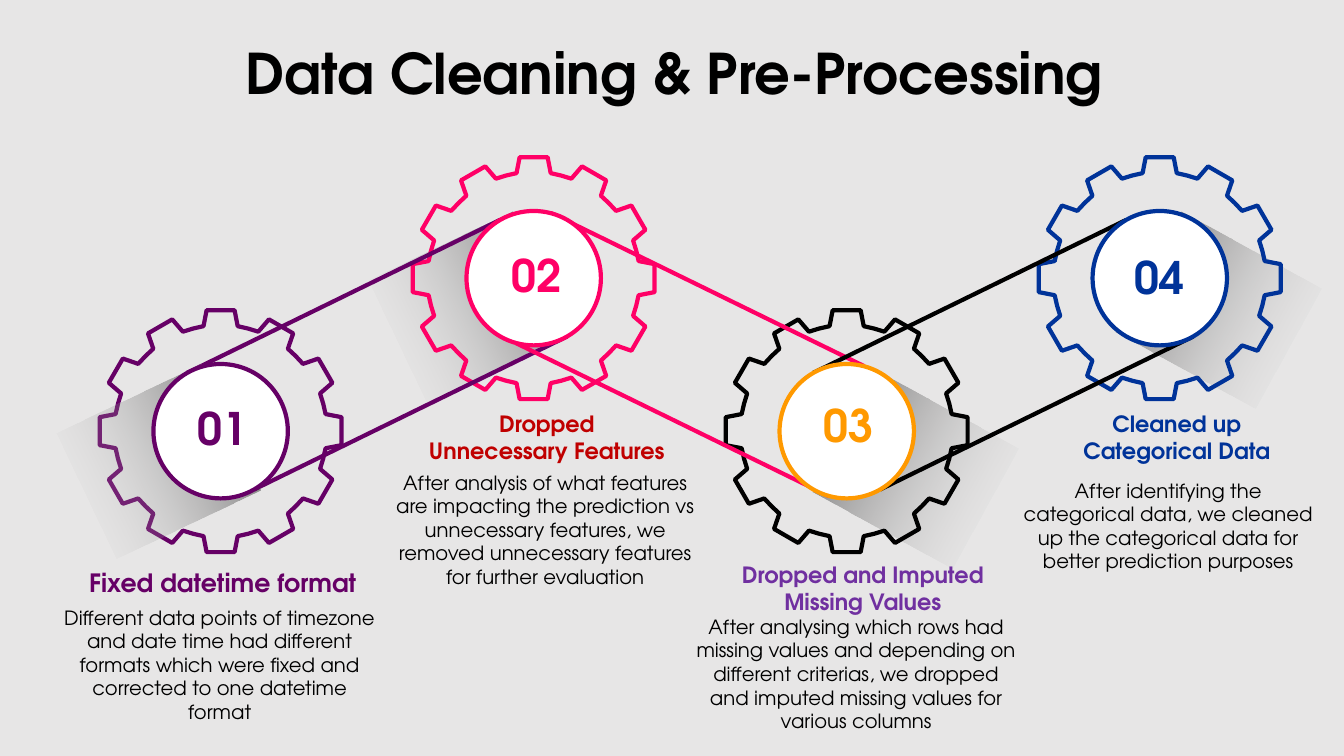
from dataclasses import dataclass
from math import cos, radians, sin

from lxml import etree
from pptx import Presentation
from pptx.dml.color import RGBColor
from pptx.enum.shapes import MSO_CONNECTOR as CONN, MSO_SHAPE as SHAPE
from pptx.enum.text import MSO_AUTO_SIZE as AUTO, PP_ALIGN as ALIGN
from pptx.oxml.ns import qn
from pptx.util import Pt

FONT = "TeX Gyre Adventor"
BLACK = "000000"
TEETH = 12
GEAR_STEP = 223.6
FIRST_X = 157.6
LOW_Y, HIGH_Y = 308, 198.7
DISC_SIZE = 96
TOOTH = [(-12.2, -75), (-10, -86.4), (10, -86.4), (12.2, -75), (19.6, -73.3)]
BELT_UP = [(-24, -41.6), (24, 41.6)]
BELT_DOWN = [(-12.6, 46.4), (12.6, -46.4)]


@dataclass
class Box:
    left: float
    top: float
    width: float
    height: float


@dataclass
class Shade:
    dx: float
    dy: float
    height: float
    turn: float


@dataclass
class Step:
    number: str
    gear: str
    disc: str
    shade: Shade
    number_box: Box
    heading: list[str]
    heading_color: str
    heading_size: int
    heading_box: Box
    body: str
    body_box: Box


STEPS = [
    Step("01", "660066", "660066", Shade(-44.5, 21.6, 99.4, 334.5),
         Box(107.3, 283, 103, 46),
         ["Fixed datetime format"], "660066", 18, Box(51.1, 401.8, 216, 29),
         "Different data points of timezone and date time had different formats "
         "which were fixed and corrected to one datetime format",
         Box(36, 429.1, 241.9, 92.2)),
    Step("02", "FF0066", "FF0066", Shade(-45.7, 20.9, 98, 334.5),
         Box(331.9, 173.5, 103, 46),
         ["Dropped", "Unnecessary Features"], "C00000", 16, Box(295.9, 289.4, 189.4, 46),
         "After analysis of what features are impacting the prediction vs unnecessary "
         "features, we removed unnecessary features for further evaluation",
         Box(275, 332.6, 229, 92.2)),
    Step("03", BLACK, "FF9900", Shade(49, 27.5, 98, 208.8),
         Box(554.4, 280.8, 103, 46),
         ["Dropped and Imputed Missing Values"], "7030A0", 16, Box(520.6, 397.4, 191.5, 46),
         "After analysing which rows had missing values and depending on different "
         "criterias, we dropped and imputed missing values for various columns",
         Box(486.7, 435.6, 249.8, 92.2)),
    Step("04", "003399", "003399", Shade(42, 23, 98, 208.8),
         Box(776.9, 175, 103, 46),
         ["Cleaned up Categorical Data"], "003399", 16, Box(764.6, 289.4, 151.9, 46),
         "After identifying the categorical data, we cleaned up the categorical data "
         "for better prediction purposes",
         Box(720, 338.4, 229, 74.9)),
]


def rgb(code: str) -> RGBColor:
    return RGBColor.from_string(code)


def center(index: int) -> tuple[float, float]:
    return FIRST_X + GEAR_STEP * index, HIGH_Y if index % 2 else LOW_Y


def outline(sp, color: str) -> None:
    sp.line.color.rgb = rgb(color)
    sp.line.width = Pt(3)


def draw_shade(s, index: int) -> None:
    shade = STEPS[index].shade
    x, y = center(index)
    width = 113.8
    sp = s.shapes.add_shape(
        SHAPE.RECTANGLE, Pt(x + shade.dx - width / 2), Pt(y + shade.dy - shade.height / 2),
        Pt(width), Pt(shade.height))
    sp.rotation = shade.turn
    sp.shadow.inherit = False
    sp.line.fill.background()
    sp.fill.gradient()
    sp.fill.gradient_angle = 0
    for stop, color, position in zip(sp.fill.gradient_stops, ("FFFFFF", BLACK), (0, 1)):
        stop.color.rgb = rgb(color)
        stop.position = position
    for clr, alpha in zip(sp._element.spPr.iter(qn("a:srgbClr")), ("0", "62000")):
        etree.SubElement(clr, qn("a:alpha"), val=alpha)


def draw_gear(s, index: int) -> None:
    x, y = center(index)
    points = []
    for tooth in range(TEETH):
        a = radians(360 / TEETH * tooth)
        points += [(Pt(x + px * cos(a) - py * sin(a)), Pt(y + px * sin(a) + py * cos(a)))
                   for px, py in TOOTH]
    builder = s.shapes.build_freeform(*points[0])
    builder.add_line_segments(points[1:], close=True)
    sp = builder.convert_to_shape()
    sp.shadow.inherit = False
    sp.fill.background()
    outline(sp, STEPS[index].gear)


def draw_belt(s, index: int) -> None:
    x1, y1 = center(index)
    x2, y2 = center(index + 1)
    for dx, dy in BELT_DOWN if index % 2 else BELT_UP:
        line = s.shapes.add_connector(
            CONN.STRAIGHT, Pt(x1 + dx), Pt(y1 + dy), Pt(x2 + dx), Pt(y2 + dy))
        outline(line, STEPS[index].gear)
        etree.SubElement(line._element.spPr, qn("a:effectLst"))


def draw_disc(s, index: int) -> None:
    x, y = center(index)
    sp = s.shapes.add_shape(SHAPE.OVAL, Pt(x - DISC_SIZE / 2), Pt(y - DISC_SIZE / 2),
                            Pt(DISC_SIZE), Pt(DISC_SIZE))
    sp.shadow.inherit = False
    sp.fill.solid()
    sp.fill.fore_color.rgb = rgb("FFFFFF")
    outline(sp, STEPS[index].disc)


def add_text(s, box: Box, lines: list[str], size: int, color: str, bold: bool = True) -> None:
    sp = s.shapes.add_textbox(Pt(box.left), Pt(box.top), Pt(box.width), Pt(box.height))
    tf = sp.text_frame
    tf.word_wrap = True
    tf.auto_size = AUTO.SHAPE_TO_FIT_TEXT
    tf.text = "\n".join(lines)
    for p in tf.paragraphs:
        p.alignment = ALIGN.CENTER
        p.font.name = FONT
        p.font.size = Pt(size)
        p.font.bold = bold
        p.font.color.rgb = rgb(color)


def main() -> None:
    prs = Presentation()
    prs.slide_width, prs.slide_height = Pt(960), Pt(540)
    s = prs.slides.add_slide(prs.slide_layouts[6])
    s.background.fill.solid()
    s.background.fill.fore_color.rgb = rgb("E7E6E6")

    for index in (3, 2, 1):
        draw_shade(s, index)
    for index in range(len(STEPS)):
        draw_gear(s, index)
    for index in range(len(STEPS) - 1):
        draw_belt(s, index)
    draw_shade(s, 0)
    for index, step in enumerate(STEPS):
        draw_disc(s, index)
        add_text(s, step.number_box, [step.number], 32, step.disc)
        add_text(s, step.heading_box, step.heading, step.heading_size, step.heading_color)
        add_text(s, step.body_box, [step.body], 14, BLACK, bold=False)
    add_text(s, Box(1.4, 23.8, 960, 55.4), ["Data Cleaning & Pre-Processing"], 40, BLACK)

    prs.save("out.pptx")


if __name__ == "__main__":
    main()
